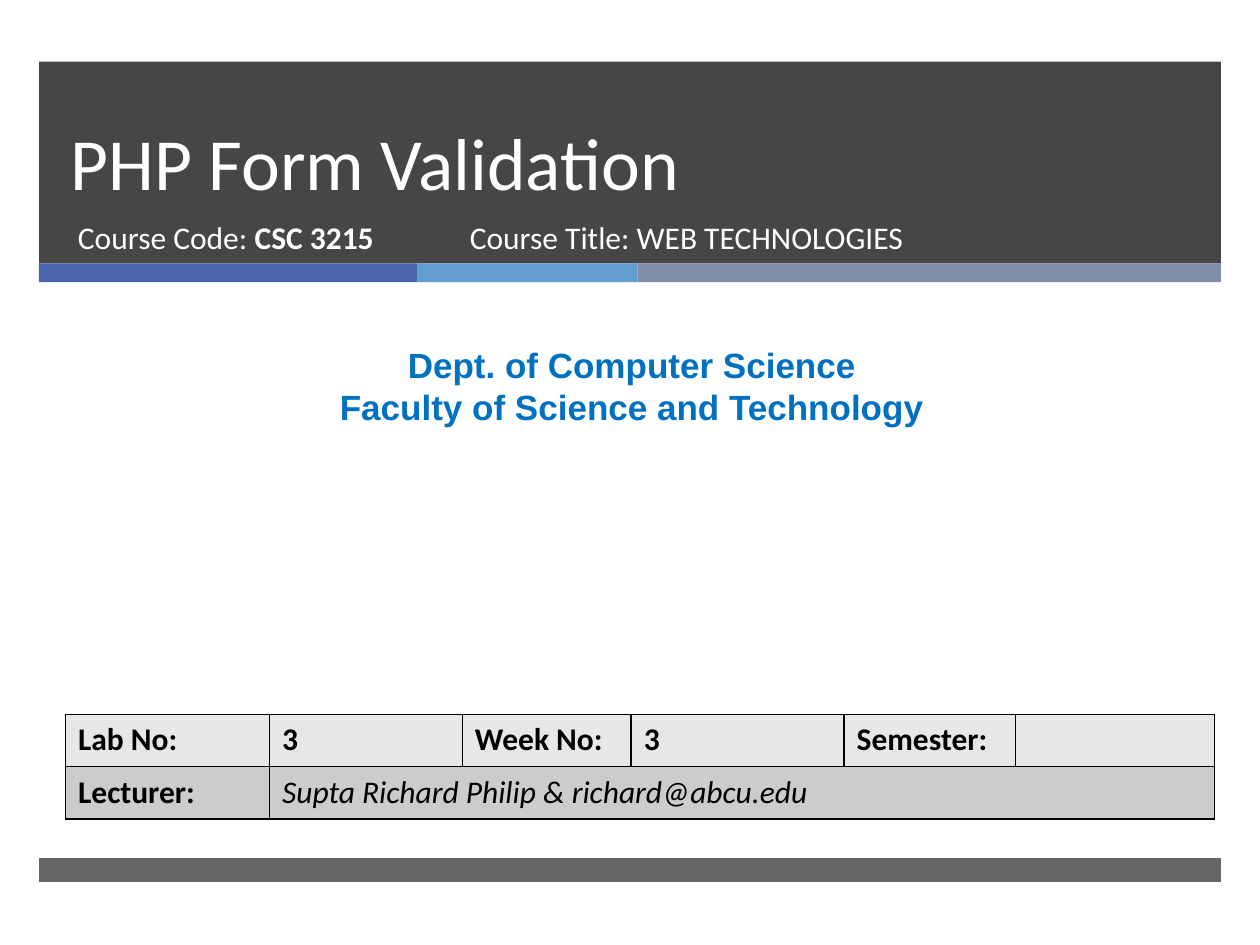
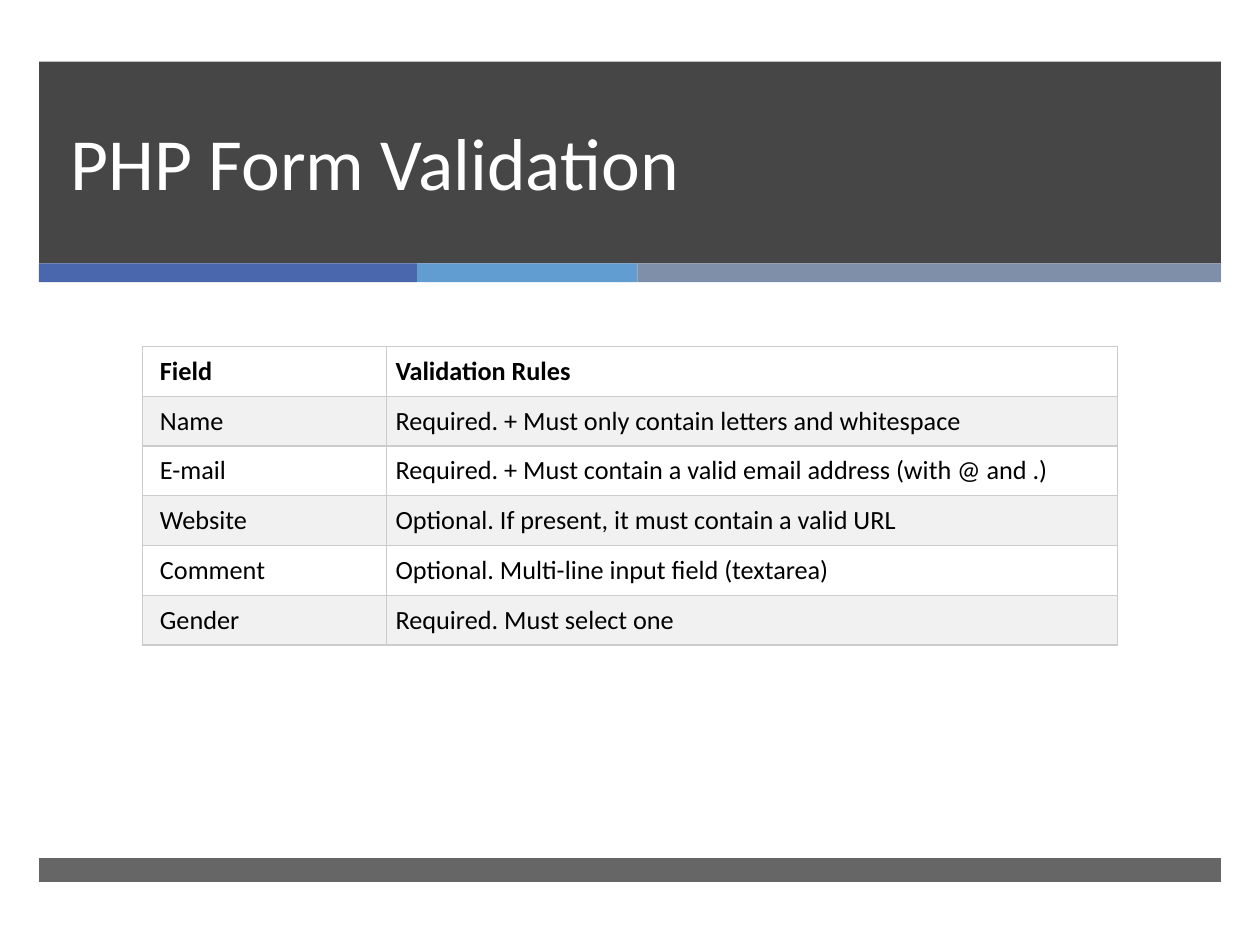
from dataclasses import dataclass

from lxml import etree
from pptx import Presentation
from pptx.dml.color import RGBColor
from pptx.enum.shapes import MSO_SHAPE
from pptx.enum.text import MSO_ANCHOR, PP_ALIGN
from pptx.oxml.ns import qn
from pptx.util import Inches, Pt

RECTANGLE = MSO_SHAPE.RECTANGLE
TOP, BOTTOM = MSO_ANCHOR.TOP, MSO_ANCHOR.BOTTOM
LEFT, CENTER = PP_ALIGN.LEFT, PP_ALIGN.CENTER
BLANK_LAYOUT = 6


@dataclass(frozen=True)
class Theme:
    font: str = "Calibri"
    department_font: str = "Arial"
    band: str = "262626"
    stripes: tuple = (("4A66AC", 3), ("629DD1", 1.75), ("7F8FA9", 4.63))
    white: str = "FFFFFF"
    black: str = "000000"
    department: str = "0070C0"
    info_rows: tuple = ("E7E7E7", "CCCCCC")
    rule_rows: tuple = ("FFFFFF", "F1F1F1")
    rule_border: str = "CCCCCC"
    title_size: float = 42
    title_spacing: float = 46
    department_size: float = 20
    info_size: float = 18
    rule_size: float = 15


THEME = Theme()
MARGIN, BAND_WIDTH = 0.31, 9.38
TITLE = "PHP Form Validation"
RULES = (
    ("Field", "Validation Rules"),
    ("Name", "Required. + Must only contain letters and whitespace"),
    ("E-mail", "Required. + Must contain a valid email address (with @ and .)"),
    ("Website", "Optional. If present, it must contain a valid URL"),
    ("Comment", "Optional. Multi-line input field (textarea)"),
    ("Gender", "Required. Must select one"),
)


def add_span(para, text, size, color, font=THEME.font, bold=False, italic=False):
    span = para.add_run()
    span.text = text
    span.font.name = font
    span.font.size = Pt(size)
    span.font.bold = bold
    span.font.italic = italic
    span.font.color.rgb = RGBColor.from_string(color)


def add_band(page, left, top, width, height, color, opacity=100):
    band = page.shapes.add_shape(
        RECTANGLE, Inches(left), Inches(top), Inches(width), Inches(height))
    band.shadow.inherit = False
    band.line.fill.background()
    band.fill.solid()
    band.fill.fore_color.rgb = RGBColor.from_string(color)
    if opacity < 100:
        color_node = band.fill._xPr.find(qn("a:solidFill"))[0]
        etree.SubElement(color_node, qn("a:alpha"), val=str(opacity * 1000))


def add_text(page, left, top, width, height, lines, size, color,
             font=THEME.font, align=LEFT, anchor=TOP, spacing=None):
    """Each line is a list of (text, bold) spans."""
    box = page.shapes.add_textbox(
        Inches(left), Inches(top), Inches(width), Inches(height))
    frame = box.text_frame
    frame.word_wrap = True
    frame.vertical_anchor = anchor
    for index, line in enumerate(lines):
        para = frame.add_paragraph() if index else frame.paragraphs[0]
        para.alignment = align
        if spacing:
            para.line_spacing = Pt(spacing)
        for text, bold in line:
            add_span(para, text, size, color, font, bold)


def add_table(page, left, top, widths, row_height, row_count):
    table = page.shapes.add_table(
        row_count, len(widths), Inches(left), Inches(top),
        Inches(sum(widths)), Inches(row_height * row_count)).table
    for column, width in zip(table.columns, widths):
        column.width = Inches(width)
    for row in table.rows:
        row.height = Inches(row_height)
    return table


def style_cell(cell, fill, border, border_width):
    properties = cell._tc.get_or_add_tcPr()
    for side in ("lnL", "lnR", "lnT", "lnB"):
        line = etree.SubElement(properties, qn(f"a:{side}"), w=str(Pt(border_width)))
        solid = etree.SubElement(line, qn("a:solidFill"))
        etree.SubElement(solid, qn("a:srgbClr"), val=border)
    cell.fill.solid()
    cell.fill.fore_color.rgb = RGBColor.from_string(fill)


def add_page(deck):
    """Add a slide with the header band, stripes, title and footer."""
    page = deck.slides.add_slide(deck.slide_layouts[BLANK_LAYOUT])
    add_band(page, MARGIN, 0.49, BAND_WIDTH, 1.6, THEME.band, 85)
    left = MARGIN
    for color, width in THEME.stripes:
        add_band(page, left, 2.09, width, 0.15, color)
        left += width
    add_band(page, MARGIN, 6.81, BAND_WIDTH, 0.19, THEME.band, 70)
    add_text(page, 0.46, 0.49, 8.54, 1.19, [[(TITLE, False)]], THEME.title_size,
             THEME.white, anchor=BOTTOM, spacing=THEME.title_spacing)
    return page


def add_info_table(page):
    table = add_table(page, 0.52, 5.67, (1.62, 1.53, 1.34, 1.69, 1.36, 1.58), 0.415, 2)
    rows = (("Lab No:", "3", "Week No:", "3", "Semester:", ""),
            ("Lecturer:", "Supta Richard Philip & richard@abcu.edu", "", "", "", ""))
    for r, (texts, fill) in enumerate(zip(rows, THEME.info_rows)):
        for c, text in enumerate(texts):
            cell = table.cell(r, c)
            style_cell(cell, fill, THEME.black, 1)
            if text:
                lecturer = (r, c) == (1, 1)
                add_span(cell.text_frame.paragraphs[0], text, THEME.info_size,
                         THEME.black, bold=not lecturer, italic=lecturer)
    table.cell(1, 1).merge(table.cell(1, 5))


def add_rules_table(page):
    table = add_table(page, 1.13, 2.75, (1.94, 5.8), 0.395, len(RULES))
    for r, texts in enumerate(RULES):
        for c, text in enumerate(texts):
            cell = table.cell(r, c)
            style_cell(cell, THEME.rule_rows[r % 2], THEME.rule_border, 0.75)
            cell.margin_top = cell.margin_bottom = cell.margin_right = Inches(0.07)
            cell.margin_left = Inches(0.07 if c else 0.14)
            add_span(cell.text_frame.paragraphs[0], text, THEME.rule_size,
                     THEME.black, bold=r == 0)


def main():
    deck = Presentation()
    deck.slide_width, deck.slide_height = Inches(10), Inches(7.5)

    cover = add_page(deck)
    add_text(cover, 0.52, 1.68, 3.05, 0.53,
             [[("Course Code: ", False), ("CSC 3215", True)]],
             THEME.info_size, THEME.white)
    add_text(cover, 0.08, 2.68, 9.87, 0.77,
             [[("Dept. of Computer Science", True)],
              [("Faculty of Science and Technology", True)]],
             THEME.department_size, THEME.department, THEME.department_font, CENTER)
    add_info_table(cover)
    add_text(cover, 3.63, 1.68, 4.55, 0.53,
             [[("Course Title: WEB TECHNOLOGIES", False)]],
             THEME.info_size, THEME.white)

    add_rules_table(add_page(deck))
    deck.save("out.pptx")


if __name__ == "__main__":
    main()
